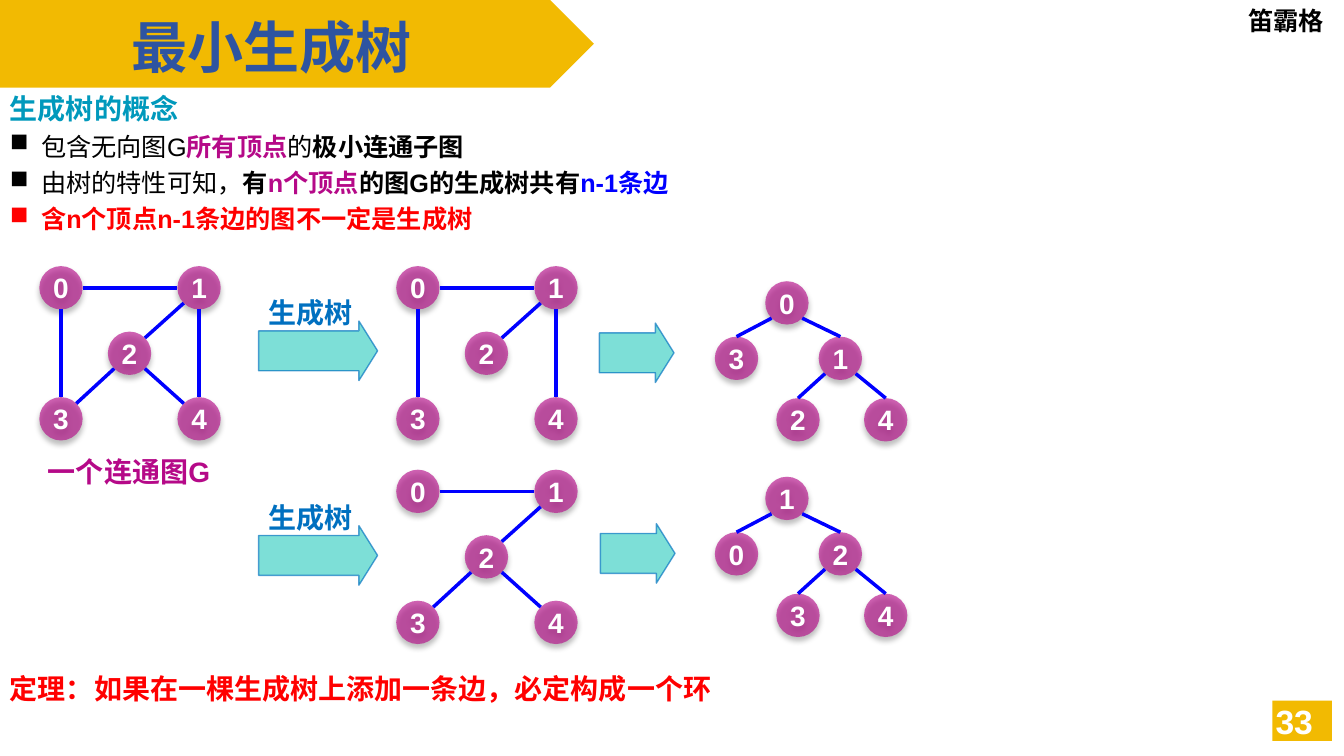
import math
import lxml.etree
import pptx
import pptx.dml.color
import pptx.enum.shapes
import pptx.enum.text
import pptx.oxml
import pptx.oxml.ns
import pptx.util

RGBColor = pptx.dml.color.RGBColor
SHAPE = pptx.enum.shapes.MSO_SHAPE
ALIGN = pptx.enum.text.PP_ALIGN
ANCHOR = pptx.enum.text.MSO_ANCHOR
GROW = pptx.enum.text.MSO_AUTO_SIZE.SHAPE_TO_FIT_TEXT
Pt = pptx.util.Pt
qn = pptx.oxml.ns.qn

GOLD = RGBColor(0xF2, 0xBA, 0x02)
NAVY = RGBColor(0x2E, 0x54, 0xA1)
CYAN = RGBColor(0x00, 0x99, 0xBC)
PURPLE = RGBColor(0xB5, 0x09, 0x88)
EDGE_BLUE = RGBColor(0x00, 0x00, 0xFF)
ARROW_BLUE = RGBColor(0x00, 0x70, 0xC0)
TURQUOISE = RGBColor(0x7D, 0xDF, 0xD7)
RED = RGBColor(0xFF, 0x00, 0x00)
BLACK = RGBColor(0x00, 0x00, 0x00)
WHITE = RGBColor(0xFF, 0xFF, 0xFF)

CELL = pptx.util.Inches(0.1)
NODE = 4.3
RADIUS = NODE / 2

deck = pptx.Presentation()
deck.slide_width = int(133.3 * CELL)
deck.slide_height = 75 * CELL
page = deck.slides.add_slide(deck.slide_layouts[6])


def cells(*lengths):
    return [round(length * CELL) for length in lengths]


def write(para, text, size, colour, face="Arial", align=ALIGN.LEFT, spacing=1.0):
    para.add_run().text = text
    para.alignment = align
    para.line_spacing = spacing
    para.font.name = face
    para.font.size = Pt(size)
    para.font.bold = True
    para.font.color.rgb = colour


for preset, place in [
    (SHAPE.RECTANGLE, (126.2, 69.5, 5.9, 4)),
    (SHAPE.PENTAGON, (0, 0, 58.9, 8.7)),
]:
    band = page.shapes.add_shape(preset, *cells(*place))
    band.shadow.inherit = False
    band.fill.solid()
    band.fill.fore_color.rgb = GOLD
    band.line.fill.background()

for left, top, width, height, text, size, colour, face, align, spacing in [
    (122.8, 0, 10.5, 4, "笛霸格", 18, BLACK, "Calibri", ALIGN.LEFT, 1.0),
    (12.1, 0.8, 29.8, 7.7, "最小生成树", 40, NAVY, "Calibri", ALIGN.LEFT, 1.0),
    (3.6, 44.3, 18.4, 4.5, "一个连通图G", 20, PURPLE, "Arial", ALIGN.CENTER, 1.1),
    (24.9, 28.5, 11.8, 4.5, "生成树", 20, ARROW_BLUE, "Arial", ALIGN.CENTER, 1.1),
    (24.9, 48.8, 11.8, 4.5, "生成树", 20, ARROW_BLUE, "Arial", ALIGN.CENTER, 1.1),
    (0, 65.5, 74, 4.7, "定理：如果在一棵生成树上添加一条边，必定构成一个环",
     20, RED, "Arial", ALIGN.LEFT, 1.2),
]:
    box = page.shapes.add_textbox(*cells(left, top, width, height))
    box.text_frame.word_wrap = size < 40
    box.text_frame.auto_size = GROW
    write(box.text_frame.paragraphs[0], text, size, colour, face, align, spacing)

number = page.shapes.add_textbox(*cells(124.2, 69.5, 7, 4))
number.text_frame.word_wrap = True
number.text_frame.vertical_anchor = ANCHOR.MIDDLE
write(number.text_frame.paragraphs[0], "33", 24, WHITE, align=ALIGN.RIGHT)

concept = page.shapes.add_textbox(*cells(0, 7.9, 100, 15.6)).text_frame
concept.word_wrap = True
concept.auto_size = GROW
write(concept.paragraphs[0], "生成树的概念", 20, CYAN, spacing=1.2)
for spans in [
    [("包含无向图G", BLACK, False), ("所有顶点", PURPLE, True),
     ("的", BLACK, False), ("极小连通子图", BLACK, True)],
    [("由树的特性可知，", BLACK, False), ("有", BLACK, True), ("n个顶点", PURPLE, True),
     ("的图G的生成树共有", BLACK, True), ("n-1条边", EDGE_BLUE, True)],
    [("含n个顶点n-1条边的图不一定是生成树", RED, True)],
]:
    para = concept.add_paragraph()
    para.line_spacing = 1.2
    properties = para._p.get_or_add_pPr()
    properties.set("marL", str(round(3.1 * CELL)))
    properties.set("indent", str(round(-3.1 * CELL)))
    lxml.etree.SubElement(properties, qn("a:buChar"), char="■")
    para.font.name = "Arial"
    para.font.size = Pt(18)
    for text, colour, bold in spans:
        span = para.add_run()
        span.text = text
        span.font.bold = bold
        span.font.color.rgb = colour

for left, top, length in [
    (25.65, 31.85, 11.8), (25.65, 52.15, 11.8), (59.45, 32.05, 7.4), (59.55, 51.95, 7.4),
]:
    thickness = 5.9
    arrow = page.shapes.add_shape(SHAPE.DOWN_ARROW, *cells(
        left + (length - thickness) / 2, top - (length - thickness) / 2, thickness, length))
    arrow.rotation = 270
    arrow.adjustments[0] = 0.671
    arrow.adjustments[1] = 0.313
    arrow.shadow.inherit = False
    arrow.fill.solid()
    arrow.fill.fore_color.rgb = TURQUOISE
    arrow.line.color.rgb = ARROW_BLUE
    arrow.line.width = Pt(1)
    outline = arrow.line._ln.find(".//" + qn("a:srgbClr"))
    lxml.etree.SubElement(outline, qn("a:alpha"), val="66000")

GRAPH = [(0, 0), (13.7, 0), (6.8, 6.5), (0, 13), (13.7, 13)]
TREE = [(5, 0), (0, 5.5), (10.3, 5.5), (6.1, 11.6), (14.8, 11.6)]
TREE_EDGES = [(0, 1), (0, 2), (2, 3), (2, 4)]

for left, top, layout, labels, edges in [
    (3.9, 26.4, GRAPH, "01234", [(0, 1), (0, 3), (1, 2), (1, 4), (2, 3), (2, 4)]),
    (39.3, 26.4, GRAPH, "01234", [(0, 1), (0, 3), (1, 2), (1, 4)]),
    (39.3, 46.6, GRAPH, "01234", [(0, 1), (1, 2), (2, 3), (2, 4)]),
    (70.9, 27.9, TREE, "03124", TREE_EDGES),
    (70.9, 47.3, TREE, "10234", TREE_EDGES),
]:
    corners = [(left + across, top + down) for across, down in layout]
    for label, corner in zip(labels, corners):
        node = page.shapes.add_shape(SHAPE.OVAL, *cells(*corner, NODE, NODE))
        node.shadow.inherit = False
        node.fill.solid()
        node.fill.fore_color.rgb = PURPLE
        node.line.fill.background()
        tint = node._element.spPr.find(qn("a:solidFill")).find(qn("a:srgbClr"))
        lxml.etree.SubElement(tint, qn("a:alpha"), val="63000")
        shadow = lxml.etree.SubElement(
            node._element.spPr.find(qn("a:effectLst")), qn("a:outerShdw"),
            blurRad=str(Pt(4)), dist=str(Pt(3)), dir="5400000", rotWithShape="0")
        shade = lxml.etree.SubElement(shadow, qn("a:srgbClr"), val="000000")
        lxml.etree.SubElement(shade, qn("a:alpha"), val="40000")
        node.text_frame.word_wrap = False
        node.text_frame.vertical_anchor = ANCHOR.MIDDLE
        write(node.text_frame.paragraphs[0], label, 20, WHITE, align=ALIGN.CENTER)

    for first, second in edges:
        start = [value + RADIUS for value in corners[first]]
        end = [value + RADIUS for value in corners[second]]
        heading = [(b > a) - (b < a) for a, b in zip(start, end)]
        reach = RADIUS / math.hypot(*heading)
        leave = [reach * sign for sign in heading]
        arrive = (0, RADIUS) if layout is TREE else leave
        edge = page.shapes.add_connector(
            pptx.enum.shapes.MSO_CONNECTOR.STRAIGHT,
            *cells(start[0] + leave[0], start[1] + leave[1],
                   end[0] - arrive[0], end[1] - arrive[1]))
        edge.line.color.rgb = EDGE_BLUE
        edge.line.width = Pt(2.5)
        lxml.etree.SubElement(edge._element.spPr, qn("a:effectLst"))

deck.save("out.pptx")
